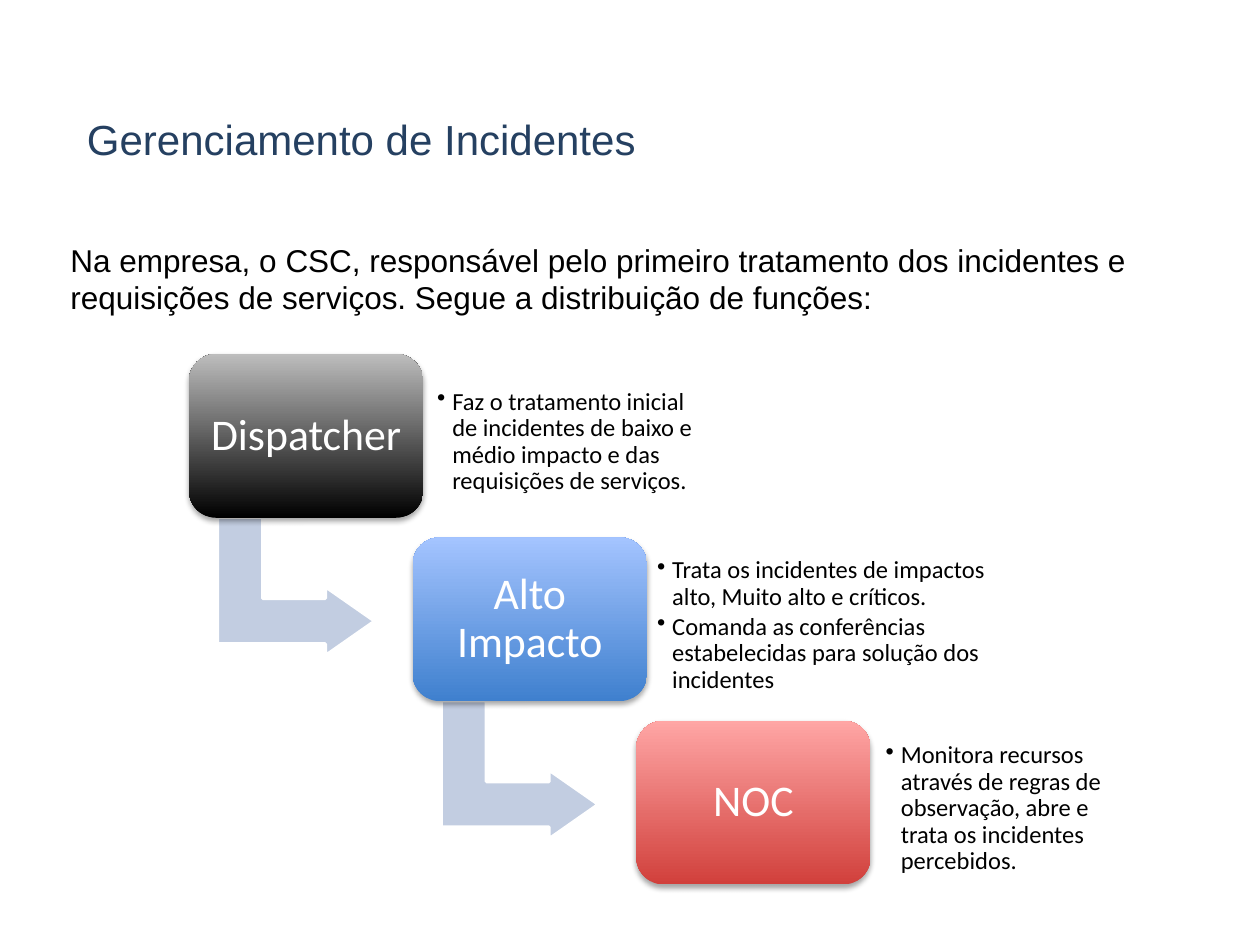
from lxml import etree
from pptx import Presentation
from pptx.dml.color import RGBColor
from pptx.enum.shapes import MSO_SHAPE
from pptx.enum.text import MSO_ANCHOR, MSO_AUTO_SIZE, PP_ALIGN
from pptx.oxml.ns import qn
from pptx.util import Inches, Pt

ROUNDED = MSO_SHAPE.ROUNDED_RECTANGLE
BENT_ARROW = MSO_SHAPE.BENT_UP_ARROW
TOP, MIDDLE = MSO_ANCHOR.TOP, MSO_ANCHOR.MIDDLE
LEFT, CENTER = PP_ALIGN.LEFT, PP_ALIGN.CENTER
FIT_SHAPE = MSO_AUTO_SIZE.SHAPE_TO_FIT_TEXT

TITLE = "Gerenciamento de Incidentes"
INTRO = ("Na empresa, o CSC, responsável pelo primeiro tratamento dos incidentes e "
         "requisições de serviços. Segue a distribuição de funções:")
STEPS = [
    dict(team="Dispatcher", dark="000000", light="BDBDBD", gap=0.05, width=2.3,
         duties=["Faz o tratamento inicial de incidentes de baixo e médio impacto "
                 "e das requisições de serviços."]),
    dict(team="Alto Impacto", dark="3F80CE", light="A4C4FF", gap=0.02, width=3.04,
         duties=["Trata os incidentes de impactos alto, Muito alto e críticos.",
                 "Comanda as conferências estabelecidas para solução dos incidentes"]),
    dict(team="NOC", dark="D1403C", light="FFA6A5", gap=0.06, width=1.87,
         duties=["Monitora recursos através de regras de observação, abre e trata "
                 "os incidentes percebidos."]),
]

STAIR_LEFT, STAIR_TOP = 1.5, 2.81
STEP_X, STEP_Y = 1.775, 1.455
BOX_W, BOX_H = 1.86, 1.3
ARROW_W, ARROW_H = 1.1, 1.25
ARROW_DX, ARROW_DY = 0.3, 1.22
DUTIES_H = 1.05


def rgb(color):
    return RGBColor.from_string(color)


def inches(*lengths):
    return [Inches(length) for length in lengths]


def style(paragraph, font, size, color, align=LEFT):
    paragraph.alignment = align
    paragraph.font.name = font
    paragraph.font.size = Pt(size)
    paragraph.font.color.rgb = rgb(color)


def set_frame(frame, anchor, margin):
    frame.word_wrap = True
    frame.vertical_anchor = anchor
    frame.margin_left = frame.margin_right = Inches(margin)
    frame.margin_top = frame.margin_bottom = Inches(margin)


def add_bullet(paragraph):
    props = paragraph._p.get_or_add_pPr()
    props.set("marL", str(Inches(0.12)))
    props.set("indent", str(-Inches(0.12)))
    etree.SubElement(props, qn("a:buChar"), char="•")


def add_soft_shadow(shape):
    shape.shadow.inherit = False
    effects = shape._element.spPr.find(qn("a:effectLst"))
    shadow = etree.SubElement(effects, qn("a:outerShdw"), blurRad=str(Pt(3.1)),
                              dist=str(Pt(1.8)), dir="5400000", rotWithShape="0")
    color = etree.SubElement(shadow, qn("a:srgbClr"), val="000000")
    etree.SubElement(color, qn("a:alpha"), val="35000")


def add_arrow(shapes, left, top):
    arrow = shapes.add_shape(BENT_ARROW, *inches(left, top, ARROW_W, ARROW_H))
    arrow.rotation = 90
    for index, share in enumerate((0.328, 0.25, 0.358)):
        arrow.adjustments[index] = share
    arrow.fill.solid()
    arrow.fill.fore_color.rgb = rgb("C2CDE1")
    arrow.line.color.rgb = rgb("FFFFFF")
    arrow.line.width = Pt(2)
    arrow.shadow.inherit = False


def add_team(shapes, left, top, step):
    box = shapes.add_shape(ROUNDED, *inches(left, top, BOX_W, BOX_H))
    box.fill.gradient()
    box.fill.gradient_angle = 90
    for stop, color in zip(box.fill.gradient_stops, (step["dark"], step["light"])):
        stop.color.rgb = rgb(color)
    box.line.fill.background()
    add_soft_shadow(box)
    set_frame(box.text_frame, MIDDLE, 0.1)
    label = box.text_frame.paragraphs[0]
    label.text = step["team"]
    label.line_spacing = 0.9
    style(label, "Calibri", 25, "FFFFFF", CENTER)


def add_duties(shapes, left, top, step):
    box = shapes.add_textbox(*inches(left, top, step["width"], DUTIES_H))
    frame = box.text_frame
    set_frame(frame, MIDDLE, 0.06)
    for index, duty in enumerate(step["duties"]):
        paragraph = frame.add_paragraph() if index else frame.paragraphs[0]
        paragraph.text = duty
        paragraph.line_spacing = 0.9
        paragraph.space_after = Pt(2)
        add_bullet(paragraph)
        style(paragraph, "Calibri", 14, "000000")


def main():
    deck = Presentation()
    deck.slide_width, deck.slide_height = inches(10, 7.5)
    slide = deck.slides.add_slide(deck.slide_layouts[5])
    shapes = slide.shapes

    title = shapes.title
    title.left, title.top, title.width, title.height = inches(0.59, 0.85, 4.6, 0.5)
    title.text_frame.text = TITLE
    title.text_frame.word_wrap = False
    title.text_frame.vertical_anchor = TOP
    title.text_frame.auto_size = FIT_SHAPE
    style(title.text_frame.paragraphs[0], "Arial", 24, "254061")

    intro = shapes.add_textbox(*inches(0.46, 1.86, 9.04, 0.71)).text_frame
    intro.text = INTRO
    intro.word_wrap = True
    intro.auto_size = FIT_SHAPE
    style(intro.paragraphs[0], "Arial", 18, "000000")

    for index, step in enumerate(STEPS):
        left = STAIR_LEFT + index * STEP_X
        top = STAIR_TOP + index * STEP_Y
        if index < len(STEPS) - 1:
            add_arrow(shapes, left + ARROW_DX, top + ARROW_DY)
        add_team(shapes, left, top, step)
        duties_top = top + (BOX_H - DUTIES_H) / 2 + 0.05
        add_duties(shapes, left + BOX_W + step["gap"], duties_top, step)

    deck.save("out.pptx")


if __name__ == "__main__":
    main()
